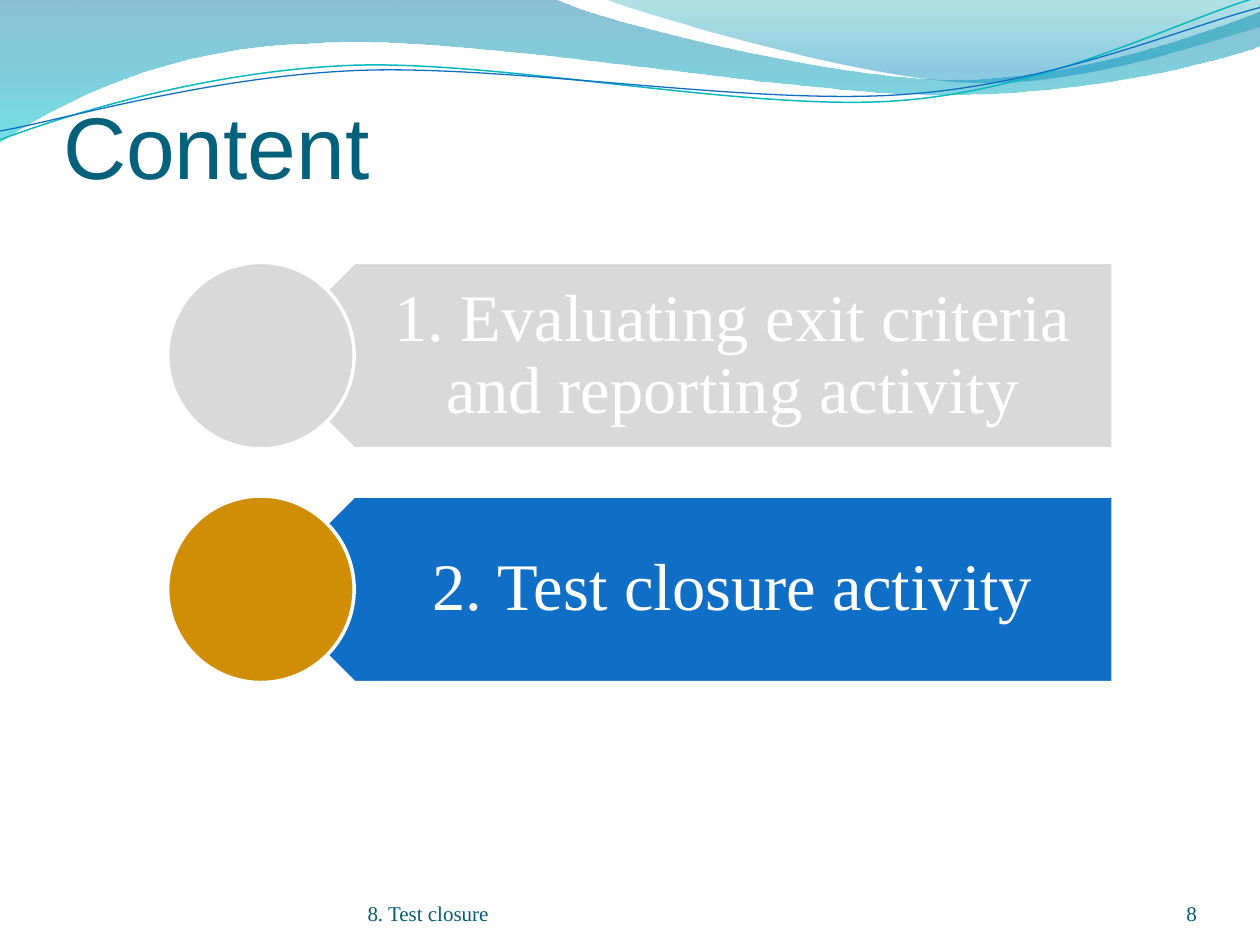
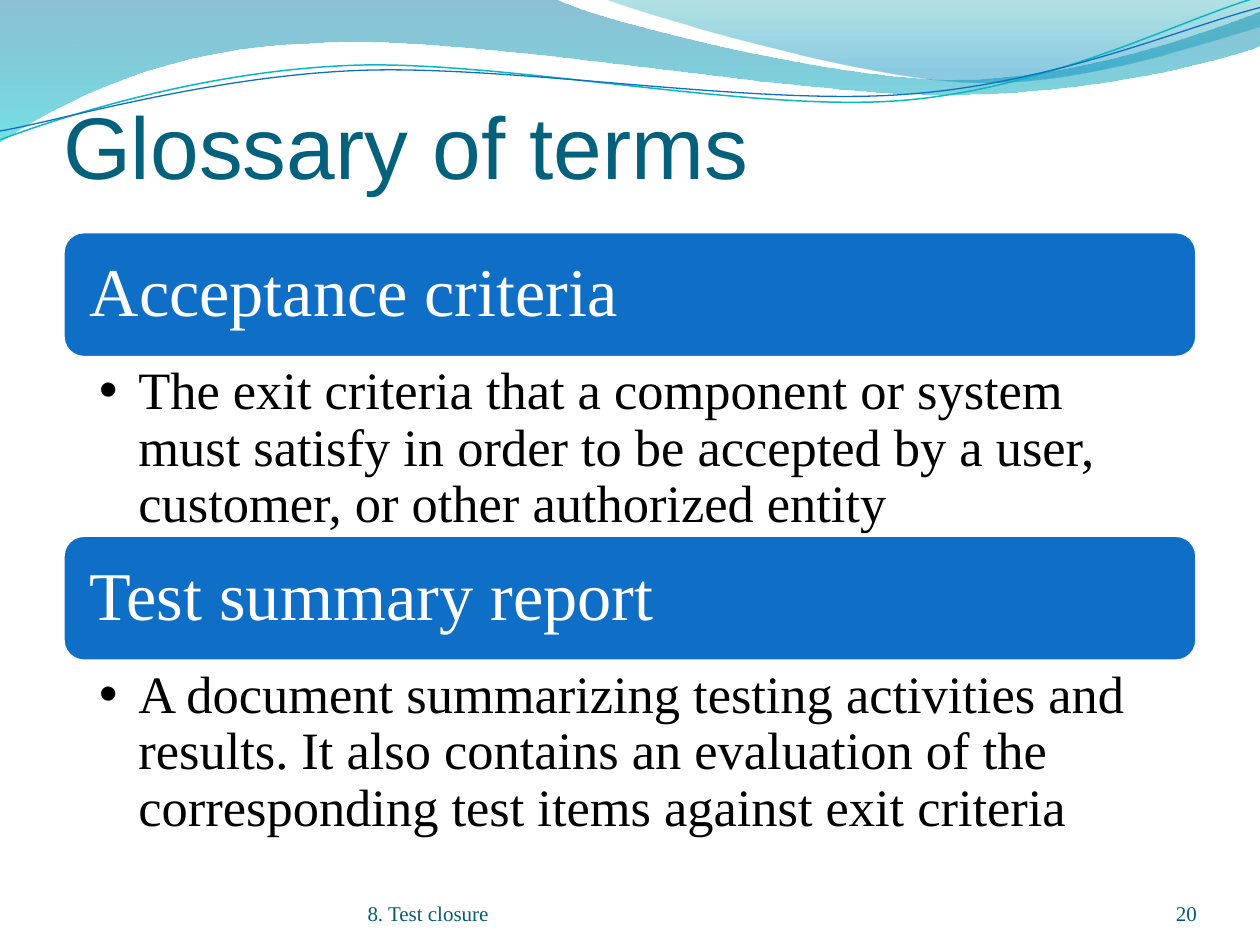
"""Build the agenda and glossary slides of the test closure lecture."""
from dataclasses import dataclass

from lxml import etree
from pptx import Presentation
from pptx import util as u
from pptx.dml.color import RGBColor
from pptx.enum import shapes, text
from pptx.oxml import ns

FOOTER = "8. Test closure"
AGENDA = {
    "title": "Content",
    "number": "8",
    "topics": [
        ("1. Evaluating exit criteria and reporting activity", "muted", "muted"),
        ("2. Test closure activity", "blue", "gold"),
    ],
}
GLOSSARY = {
    "title": "Glossary of terms",
    "number": "20",
    "terms": [
        ("Acceptance criteria",
         "The exit criteria that a component or system must satisfy in order to be "
         "accepted by a user, customer, or other authorized entity"),
        ("Test summary report",
         "A document summarizing testing activities and results. It also contains an "
         "evaluation of the corresponding test items against exit criteria"),
    ],
}


@dataclass(frozen=True)
class Theme:
    """Colours, fonts and type sizes."""
    title: str = "04617B"
    footer: str = "045D75"
    blue: str = "0F6FC6"
    teal: str = "0AB8BF"
    gold: str = "D08D06"
    muted: str = "D9D9D9"
    white: str = "FFFFFF"
    black: str = "000000"
    heading_font: str = "Arial"
    body_font: str = "Times New Roman"
    title_size: float = 50
    topic_size: float = 38
    term_size: float = 39
    definition_size: float = 30
    footer_size: float = 12
    outline: float = 2


THEME = Theme()
WAVE_UNIT = 2.54
WAVES = [
    {"start": (0, 0),
     "segments": [(4.4, -0.01), (4.76, 0.17, 6.64, 0.63, 7.58, 0.63),
                  (8.53, 0.63, 9.58, 0.26, 10, 0.09), (10.01, 0.36),
                  (9.83, 0.44, 8.7, 0.76, 7.46, 0.75),
                  (6.22, 0.75, 3.82, 0.28, 2.57, 0.34),
                  (1.29, 0.36, 0.46, 0.83, -0.01, 1.13), (0, 0)],
     "stops": [(0, "0074A1", 45), (1, "00C6CF", 55)]},
    {"start": (4.79, -0.01),
     "segments": [(5.09, 0.11, 6.82, 0.62, 7.69, 0.65),
                  (8.56, 0.69, 9.61, 0.32, 10, 0.21), (10, 0), (4.79, -0.01)],
     "stops": [(0, "00A1A9", 30), (0.8, "008BBF", 45)]},
    {"start": (0, 1.11),
     "segments": [(0.48, 0.93, 1.58, 0.57, 2.77, 0.52),
                  (3.95, 0.47, 5.93, 0.89, 7.13, 0.8),
                  (8.33, 0.71, 9.38, 0.15, 9.98, -0.02)],
     "line": (THEME.teal, 0.85)},
    {"start": (0, 1.04),
     "segments": [(0.47, 0.96, 1.64, 0.61, 2.83, 0.56),
                  (4.03, 0.51, 5.97, 0.84, 7.17, 0.75),
                  (8.36, 0.67, 9.41, 0.21, 10, 0.06)],
     "line": (THEME.blue, 0.75)},
]


def rgb(colour):
    """Return the colour object of a hex value."""
    return RGBColor.from_string(colour)


def cm(*lengths):
    """Turn centimetres into lengths."""
    return [u.Cm(length) for length in lengths]


def apply(target, formats):
    """Set every format value on the target."""
    for name, value in formats.items():
        setattr(target, name, value)


def place(part, *box):
    """Move and size a part."""
    apply(part, dict(zip(("left", "top", "width", "height"), cm(*box))))


def write(part, words, size, colour, font=THEME.body_font, insets=(0, 0, 0, 0),
          anchor=text.MSO_ANCHOR.MIDDLE, align=text.PP_ALIGN.LEFT, spacing=0.9):
    """Fill a part with one formatted paragraph and return the paragraph."""
    frame = part.text_frame
    sides = ("margin_left", "margin_top", "margin_right", "margin_bottom")
    apply(frame, {"word_wrap": True, "auto_size": text.MSO_AUTO_SIZE.NONE,
                  "vertical_anchor": anchor, **dict(zip(sides, cm(*insets)))})
    paragraph = frame.paragraphs[0]
    apply(paragraph, {"alignment": align, "line_spacing": spacing,
                      "space_before": u.Pt(0)})
    run = paragraph.add_run()
    run.text = words
    apply(run.font, {"name": font, "size": u.Pt(size)})
    run.font.color.rgb = rgb(colour)
    return paragraph


def add_label(slide, box, *content, **formats):
    """Add a text box with one paragraph."""
    write(slide.shapes.add_textbox(*cm(*box)), *content, **formats)


def add_block(slide, preset, box, colour):
    """Add a solid shape with the white outline."""
    block = slide.shapes.add_shape(preset, *cm(*box))
    block.shadow.inherit = False
    block.fill.solid()
    block.fill.fore_color.rgb = rgb(colour)
    block.line.color.rgb = rgb(THEME.white)
    block.line.width = u.Pt(THEME.outline)
    return block


def trace(slide, start, segments):
    """Draw an outline of straight and Bézier segments."""
    knots = [cm(segment[i] * WAVE_UNIT, segment[i + 1] * WAVE_UNIT)
             for segment in segments for i in range(0, len(segment), 2)]
    outline = slide.shapes.build_freeform(*cm(*(WAVE_UNIT * axis for axis in start)))
    outline.add_line_segments(knots, close=False)
    band = outline.convert_to_shape()
    steps = iter(list(band.element.iter(ns.qn("a:lnTo"))))
    for segment in segments:
        step = next(steps)
        if len(segment) == 2:
            continue
        step.tag = ns.qn("a:cubicBezTo")
        for control in (next(steps), next(steps)):
            step.append(control[0])
            control.getparent().remove(control)
    return band


def add_wave(slide, wave):
    """Draw one wave as a gradient band or a thin line."""
    band = trace(slide, wave["start"], wave["segments"])
    band.shadow.inherit = False
    if "line" in wave:
        colour, width = wave["line"]
        band.fill.background()
        band.line.color.rgb = rgb(colour)
        band.line.width = u.Pt(width)
        return band
    for outline in band.element.iter(ns.qn("a:path")):
        etree.SubElement(outline, ns.qn("a:close"))
    band.line.fill.background()
    band.fill.gradient()
    band.fill.gradient_angle = 270
    for stop, (position, colour, _) in zip(band.fill.gradient_stops, wave["stops"]):
        stop.position = position
        stop.color.rgb = rgb(colour)
    for tint, (_, _, opacity) in zip(band.element.iter(ns.qn("a:srgbClr")), wave["stops"]):
        etree.SubElement(tint, ns.qn("a:alpha"), val=str(opacity * 1000))
    return band


def add_waves_to_master(deck, slide):
    """Draw the waves and keep them on the slide master, behind everything."""
    tree = deck.slide_master.shapes.element
    for order, wave in enumerate(WAVES):
        band = add_wave(slide, wave).element
        band.nvSpPr.cNvPr.set("id", str(100 + order))
        tree.insert(2 + order, band)


def start_slide(deck, layout, content):
    """Add a slide with its title, footer and number."""
    slide = deck.slides.add_slide(deck.slide_layouts.get_by_name(layout))
    title = slide.shapes.title
    place(title, 1.27, 1.69, 22.86, 2.29)
    bottom = {"anchor": text.MSO_ANCHOR.BOTTOM, "spacing": 1.0}
    write(title, content["title"], THEME.title_size, THEME.title,
          font=THEME.heading_font, insets=(0, 0.13, 0, 0), **bottom)
    add_label(slide, (7.41, 17.65, 9.32, 1.02), FOOTER,
              THEME.footer_size, THEME.footer, **bottom)
    add_label(slide, (22.02, 17.65, 2.11, 1.02), content["number"],
              THEME.footer_size, THEME.footer, align=text.PP_ALIGN.RIGHT, **bottom)
    return slide


def add_topics(slide, topics):
    """Stack the agenda topics, each a plate with a round badge."""
    left, first_top, size, pitch, right = 3.38, 5.29, 3.76, 4.71, 22.44
    plate_left, label_left = left + size / 2, left + 2.83
    for row, (topic, plate_colour, badge_colour) in enumerate(topics):
        top = first_top + row * pitch
        plate = add_block(slide, shapes.MSO_SHAPE.PENTAGON,
                          (plate_left, top, right - plate_left, size),
                          getattr(THEME, plate_colour))
        plate.rotation = 180
        add_label(slide, (label_left, top, right - label_left, size), topic,
                  THEME.topic_size, THEME.white, insets=(1.65, 0.41, 0.76, 0.41),
                  align=text.PP_ALIGN.CENTER)
        add_block(slide, shapes.MSO_SHAPE.OVAL, (left, top, size, size),
                  getattr(THEME, badge_colour))


def add_terms(slide, terms):
    """Stack the glossary terms, each a bar above its definition."""
    left, first_top, width, bar, body, edge = 1.27, 4.67, 22.86, 2.54, 3.58, 0.13
    holders = [holder for holder in slide.placeholders if holder.placeholder_format.idx]
    for row, ((term, definition), holder) in enumerate(zip(terms, holders)):
        top = first_top + row * (bar + body)
        add_block(slide, shapes.MSO_SHAPE.ROUNDED_RECTANGLE,
                  (left, top, width, bar), THEME.blue)
        add_label(slide, (left + edge, top + edge, width - 2 * edge, bar - 2 * edge),
                  term, THEME.term_size, THEME.white, insets=(0.41,) * 4)
        place(holder, left, top + bar, width, body)
        paragraph = write(holder, definition, THEME.definition_size, THEME.black,
                          insets=(0.73, 0.13, 0.76, 0.13), anchor=text.MSO_ANCHOR.TOP)
        layout = paragraph._p.get_or_add_pPr()
        layout.set("marL", str(u.Cm(0.79)))
        layout.set("indent", str(u.Cm(-0.79)))
        etree.SubElement(layout, ns.qn("a:buChar"), char="•")


def main():
    """Create and save the deck."""
    deck = Presentation()
    apply(deck, dict(zip(("slide_width", "slide_height"), cm(25.4, 19.05))))
    agenda = start_slide(deck, "Title Only", AGENDA)
    add_waves_to_master(deck, agenda)
    add_topics(agenda, AGENDA["topics"])
    add_terms(start_slide(deck, "Two Content", GLOSSARY), GLOSSARY["terms"])
    deck.save("out.pptx")


if __name__ == "__main__":
    main()
